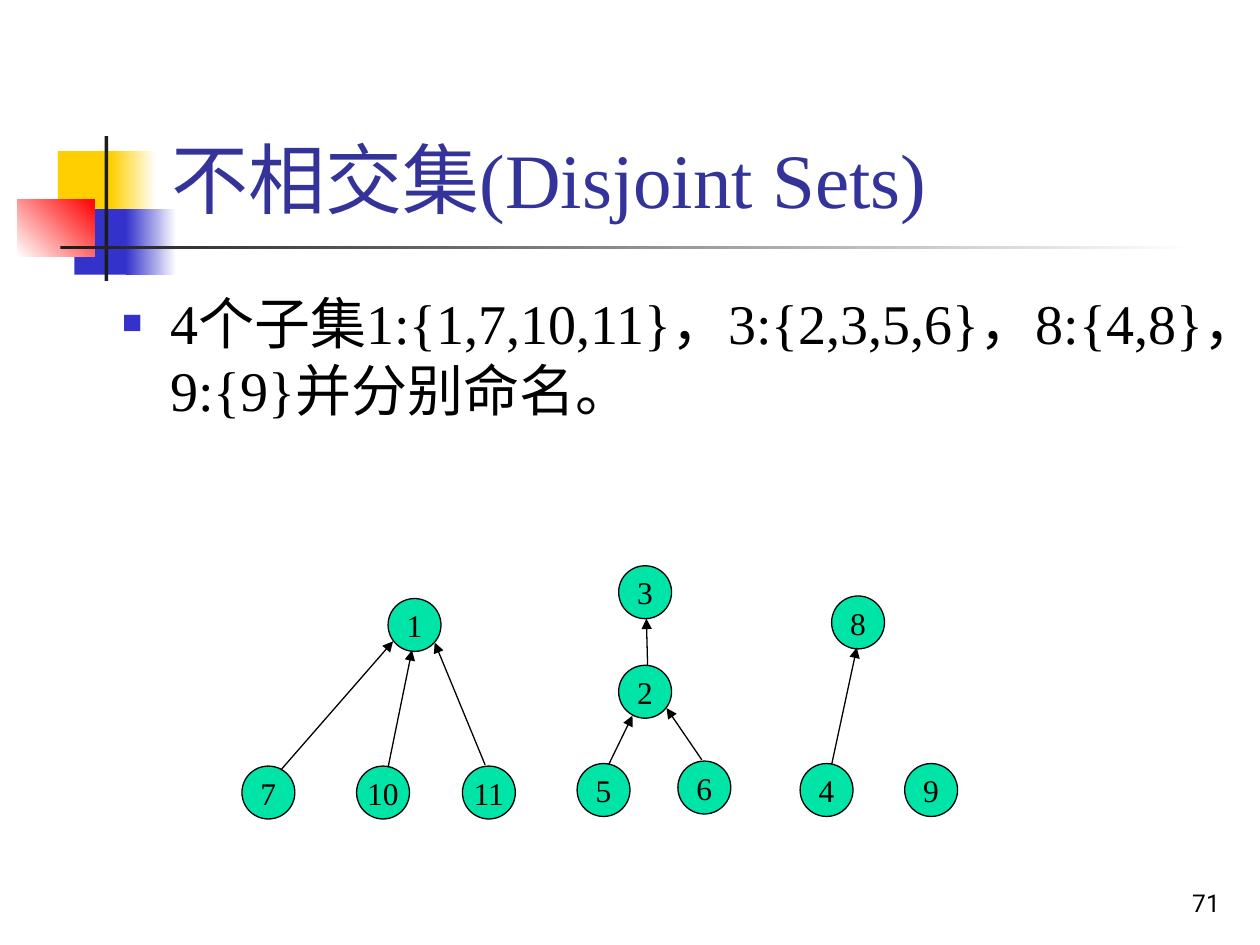
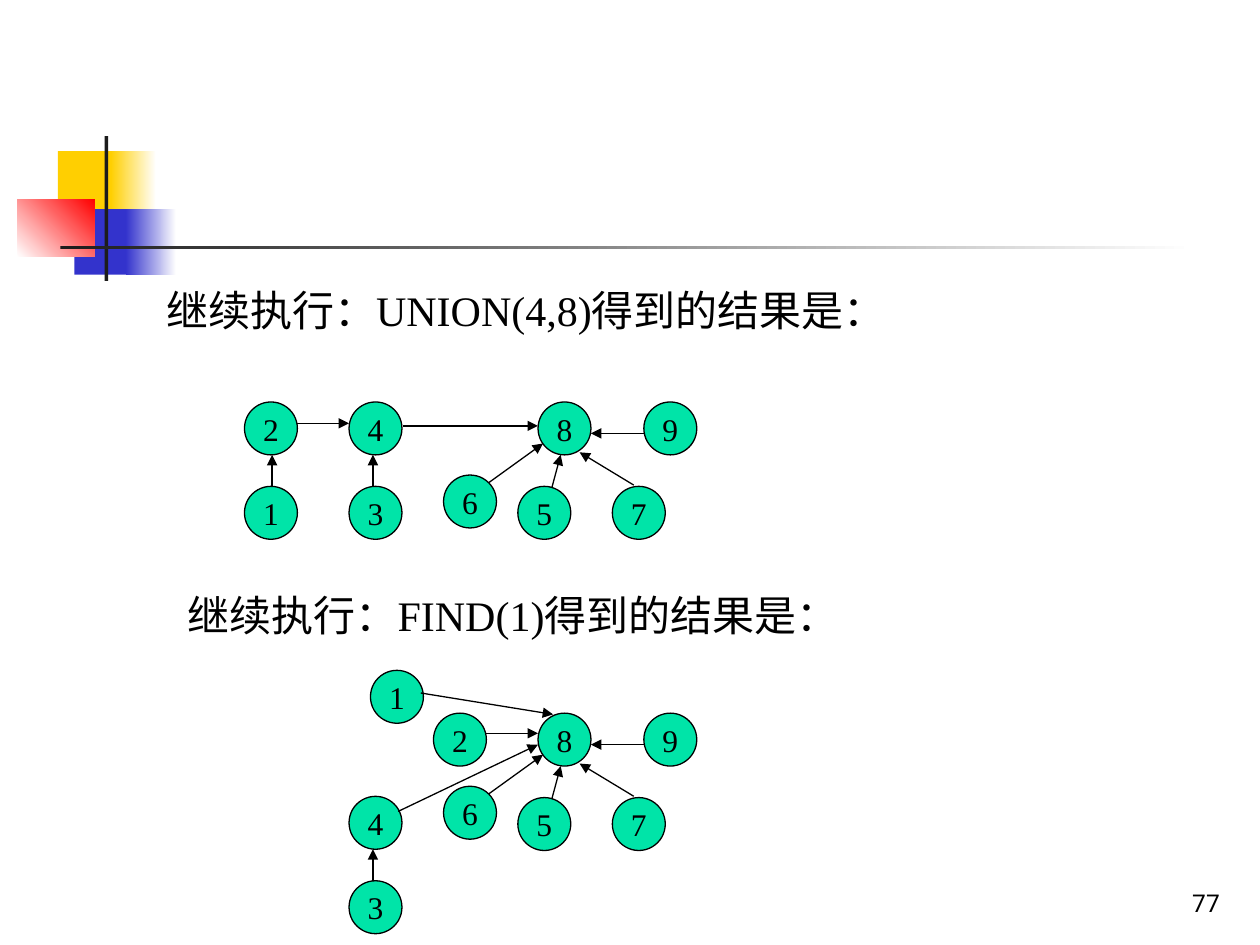
from dataclasses import dataclass

from lxml import etree
from pptx import Presentation
from pptx import util as u
from pptx.dml.color import RGBColor
from pptx.enum import shapes, text
from pptx.oxml import ns


@dataclass(frozen=True)
class Theme:
    yellow: str = "FFCF01"
    blue: str = "3333CC"
    red: str = "FF0000"
    dark: str = "1C1C1C"
    white: str = "FFFFFF"
    black: str = "000000"
    title: str = "333399"
    node: str = "00E4A8"
    latin: str = "Times New Roman"
    chinese: str = "Noto Sans CJK SC"
    number: str = "Roboto"
    title_size: int = 44
    body_size: int = 32
    step_size: int = 24
    node_size: int = 18
    number_size: int = 14
    line_width: float = 0.75
    diameter: float = 0.42


THEME = Theme()

BAND = [
    ((0.46, 1.2, 0.48, 0.52), (THEME.yellow,), 0),
    ((0.88, 1.2, 0.36, 0.52), (THEME.yellow, THEME.white), 0),
    ((0.59, 1.66, 0.46, 0.52), (THEME.blue,), 0),
    ((1, 1.66, 0.4, 0.52), (THEME.blue, THEME.white), 0),
    ((0.14, 1.58, 0.61, 0.46), (THEME.white, THEME.red), 45),
    ((0.83, 1.08, 0.03, 1.15), (THEME.dark,), 0),
    ((0.48, 1.95, 9, 0.03), (THEME.dark, THEME.white), 0),
]

SUBSETS = {
    1: (3.08, 4.75), 11: (3.67, 6.08), 10: (2.83, 6.08), 7: (1.92, 6.08),
    2: (4.91, 5.28), 6: (5.38, 6.04), 5: (4.58, 6.06), 3: (4.91, 4.49),
    9: (7.18, 6.06), 8: (6.6, 4.73), 4: (6.35, 6.06),
}
SUBSET_LINKS = [
    (3.08, 6.09, 3.27, 5.16), (3.85, 6.07, 3.45, 5.1), (2.23, 6.11, 3.12, 5.09),
    (4.83, 6.07, 5.02, 5.68), (5.57, 6.03, 5.29, 5.62), (5.14, 5.28, 5.13, 4.91),
    (6.6, 6.07, 6.8, 5.14),
]

ROOT_8 = {8: (4.27, 0), 9: (5.11, 0), 6: (3.52, 0.58), 5: (4.11, 0.67), 7: (4.86, 0.67)}
ROOT_8_LINKS = [
    (5.11, 0.25, 4.69, 0.25), (3.88, 0.64, 4.31, 0.33),
    (4.38, 0.68, 4.45, 0.42), (5.03, 0.66, 4.6, 0.4),
]
UNION_TOP = 3.19
UNION = {1: (1.94, 3.86), 2: (1.94, 3.19), 3: (2.77, 3.86), 4: (2.77, 3.19)}
UNION_LINKS = [
    (2.16, 3.86, 2.16, 3.61), (2.96, 3.86, 2.96, 3.61),
    (2.36, 3.36, 2.77, 3.36), (3.2, 3.38, 4.27, 3.38),
]
FIND_TOP = 5.66
FIND = {1: (2.94, 5.32), 2: (3.44, 5.66), 3: (2.77, 6.99), 4: (2.77, 6.32)}
FIND_LINKS = [
    (3.34, 5.5, 4.39, 5.67), (2.96, 6.99, 2.96, 6.74),
    (3.86, 5.82, 4.27, 5.82), (3.16, 6.44, 4.27, 5.91),
]


def inches(values):
    return [u.Inches(value) for value in values]


def apply(target, values):
    for name, value in values.items():
        setattr(target, name, value)


def add_element(parent, tag, **attributes):
    return etree.SubElement(parent, ns.qn(tag), attributes)


def place(placeholder, box):
    apply(placeholder, dict(zip(("left", "top", "width", "height"), inches(box))))


def write(frame, words, size, color=THEME.black, latin=THEME.latin,
          align=text.PP_ALIGN.LEFT, anchor=text.MSO_ANCHOR.TOP, wrap=True):
    apply(frame, {"word_wrap": wrap, "vertical_anchor": anchor,
                  "auto_size": text.MSO_AUTO_SIZE.NONE})
    paragraph = frame.paragraphs[0]
    apply(paragraph, {"alignment": align, "space_before": u.Pt(0)})
    run = paragraph.add_run()
    run.text = words
    apply(run.font, {"name": latin, "size": u.Pt(size)})
    run.font.color.rgb = RGBColor.from_string(color)
    add_element(run.font._element, "a:ea", typeface=THEME.chinese)
    return paragraph


def add_band(slide):
    for box, colors, angle in BAND:
        block = slide.shapes.add_shape(shapes.MSO_SHAPE.RECTANGLE, *inches(box))
        block.shadow.inherit = False
        block.line.fill.background()
        if len(colors) == 1:
            block.fill.solid()
            block.fill.fore_color.rgb = RGBColor.from_string(colors[0])
            continue
        block.fill.gradient()
        block.fill.gradient_angle = angle
        for stop, color, position in zip(block.fill.gradient_stops, colors, (0, 1)):
            stop.color.rgb = RGBColor.from_string(color)
            stop.position = position


def add_text(slide, box, words, size, **style):
    write(slide.shapes.add_textbox(*inches(box)).text_frame, words, size, **style)


def add_page_number(slide, number):
    add_text(slide, (7.7, 6.83, 2.08, 0.5), str(number), THEME.number_size,
             latin=THEME.number, align=text.PP_ALIGN.RIGHT, anchor=text.MSO_ANCHOR.BOTTOM)


def add_title(slide, words):
    place(slide.shapes.title, (1.26, 0.23, 8.52, 1.6))
    write(slide.shapes.title.text_frame, words, THEME.title_size, THEME.title,
          anchor=text.MSO_ANCHOR.BOTTOM)


def add_list(slide, words):
    subsets = slide.placeholders[1]
    place(subsets, (0.87, 2.24, 9.23, 1.66))
    paragraph = write(subsets.text_frame, words, THEME.body_size)
    properties = paragraph._p.get_or_add_pPr()
    properties.set("marL", str(u.Inches(0.38)))
    properties.set("indent", str(u.Inches(-0.38)))
    add_element(add_element(properties, "a:buClr"), "a:srgbClr", val=THEME.blue)
    add_element(properties, "a:buSzPct", val="60000")
    add_element(properties, "a:buChar", char="■")


def add_node(slide, label, left, top):
    node = slide.shapes.add_shape(
        shapes.MSO_SHAPE.OVAL, *inches((left, top, THEME.diameter, THEME.diameter)))
    node.shadow.inherit = False
    node.fill.solid()
    node.fill.fore_color.rgb = RGBColor.from_string(THEME.node)
    node.line.color.rgb = RGBColor.from_string(THEME.black)
    node.line.width = u.Pt(THEME.line_width)
    write(node.text_frame, str(label), THEME.node_size, align=text.PP_ALIGN.CENTER,
          anchor=text.MSO_ANCHOR.MIDDLE, wrap=False)


def add_link(slide, ends):
    link = slide.shapes.add_connector(shapes.MSO_CONNECTOR.STRAIGHT, *inches(ends))
    link.line.color.rgb = RGBColor.from_string(THEME.black)
    link.line.width = u.Pt(THEME.line_width)
    add_element(link.line._get_or_add_ln(), "a:tailEnd", type="triangle")
    add_element(link._element.spPr, "a:effectLst")


def add_forest(slide, nodes, links, offset=0):
    for label, (left, top) in nodes.items():
        add_node(slide, label, left, top + offset)
    for x1, y1, x2, y2 in links:
        add_link(slide, (x1, y1 + offset, x2, y2 + offset))


def new_slide(deck, layout, number):
    slide = deck.slides.add_slide(deck.slide_layouts[layout])
    add_band(slide)
    add_page_number(slide, number)
    return slide


def main():
    deck = Presentation()
    apply(deck, {"slide_width": u.Inches(10), "slide_height": u.Inches(7.5)})

    disjoint = new_slide(deck, 1, 71)
    add_title(disjoint, "不相交集(Disjoint Sets)")
    add_list(disjoint, "4个子集1:{1,7,10,11}，3:{2,3,5,6}，8:{4,8}，9:{9}并分别命名。")
    add_forest(disjoint, SUBSETS, SUBSET_LINKS)

    steps = new_slide(deck, 6, 77)
    add_text(steps, (1.22, 2.21, 5.97, 0.5), "继续执行：UNION(4,8)得到的结果是：", THEME.step_size)
    add_forest(steps, UNION, UNION_LINKS)
    add_forest(steps, ROOT_8, ROOT_8_LINKS, UNION_TOP)
    add_text(steps, (1.39, 4.63, 5.42, 0.5), "继续执行：FIND(1)得到的结果是：", THEME.step_size)
    add_forest(steps, FIND, FIND_LINKS)
    add_forest(steps, ROOT_8, ROOT_8_LINKS, FIND_TOP)

    deck.save("out.pptx")


if __name__ == "__main__":
    main()
